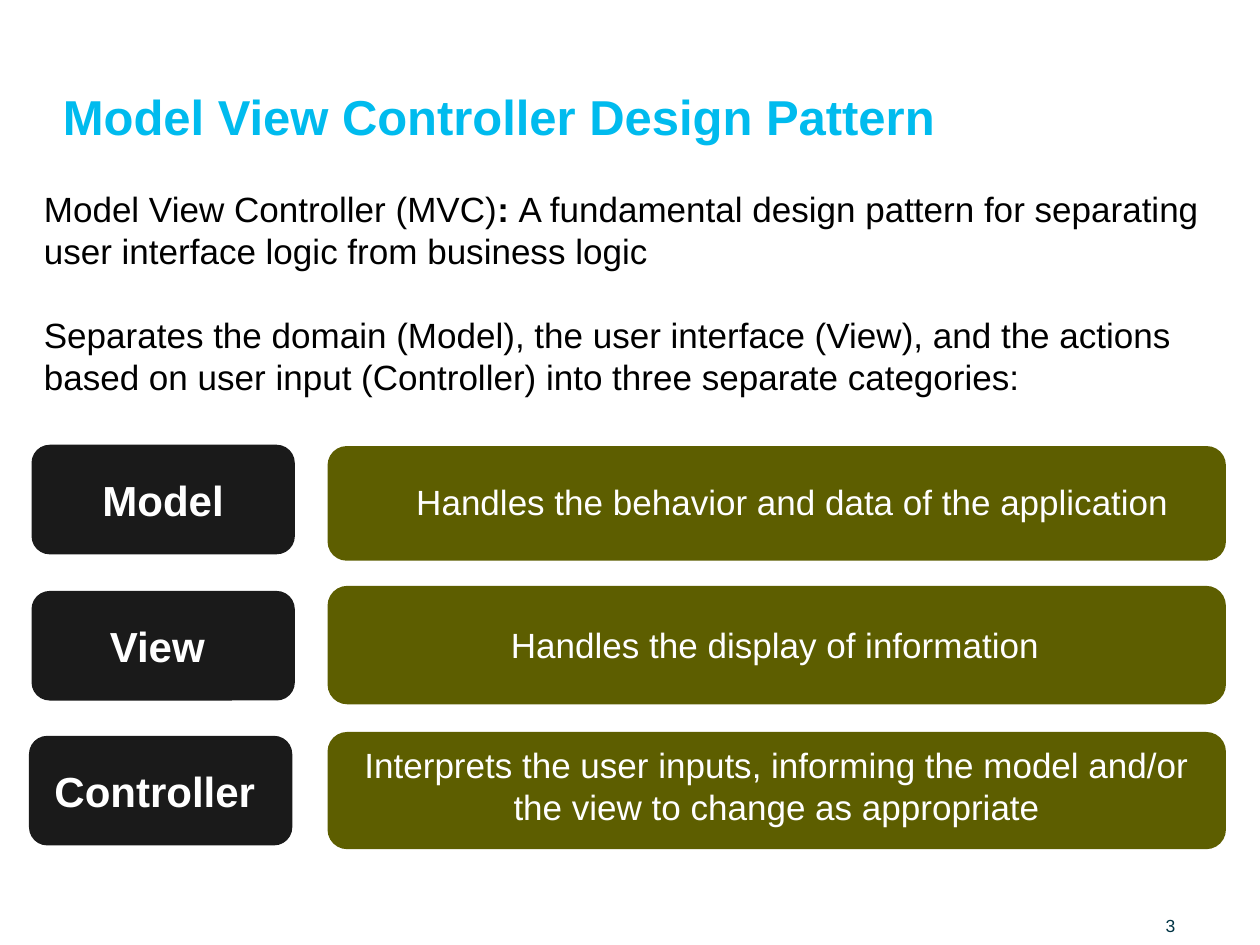
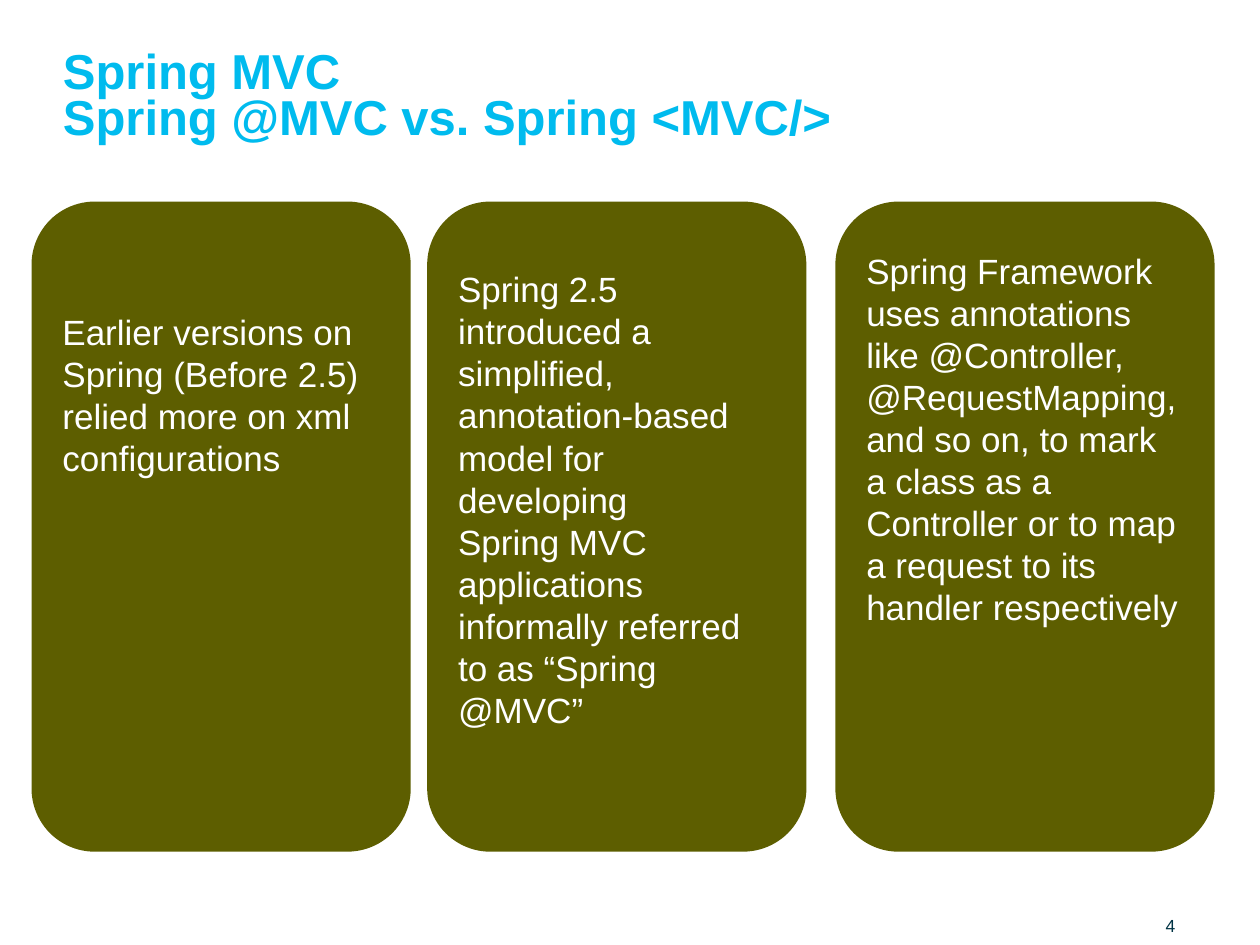
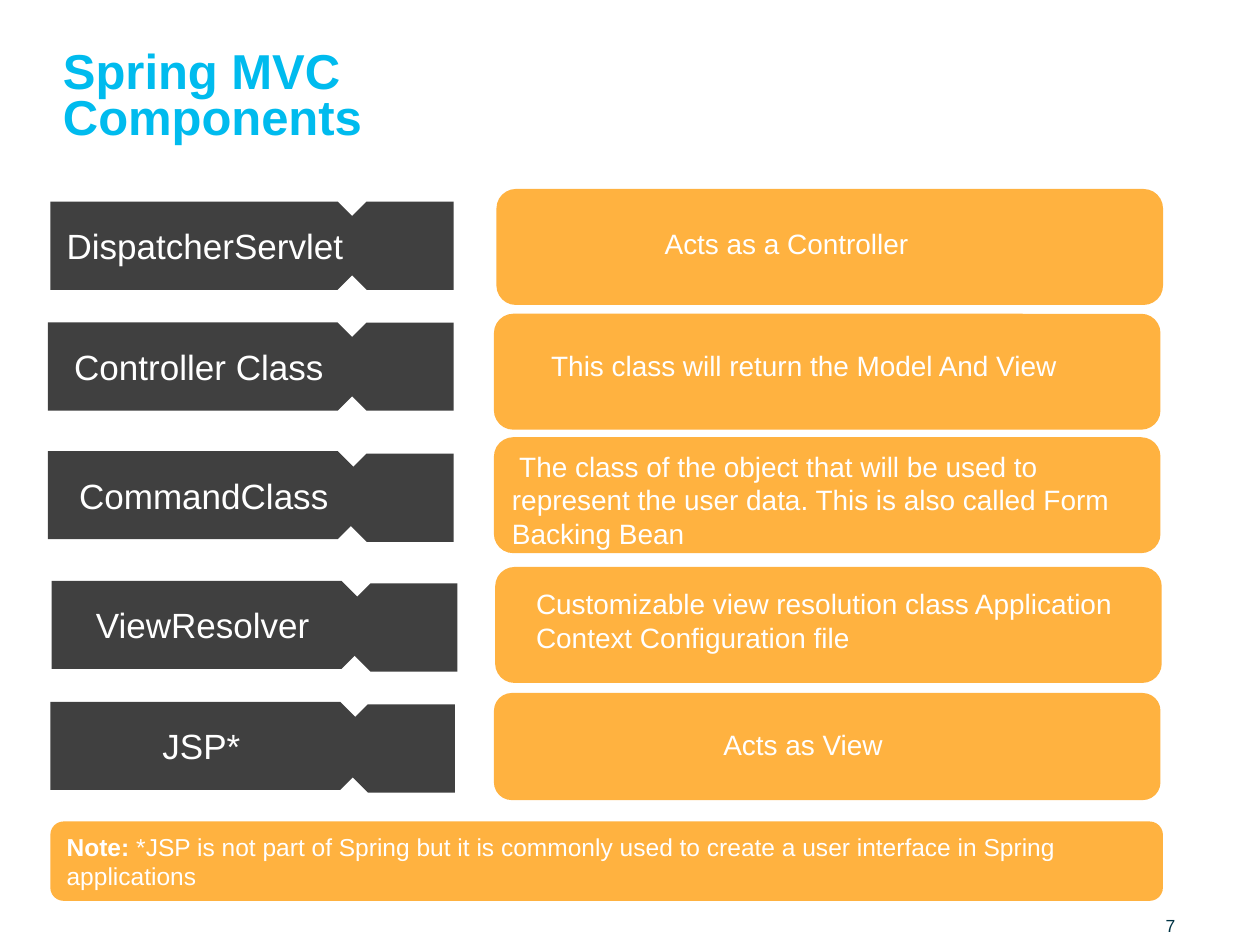
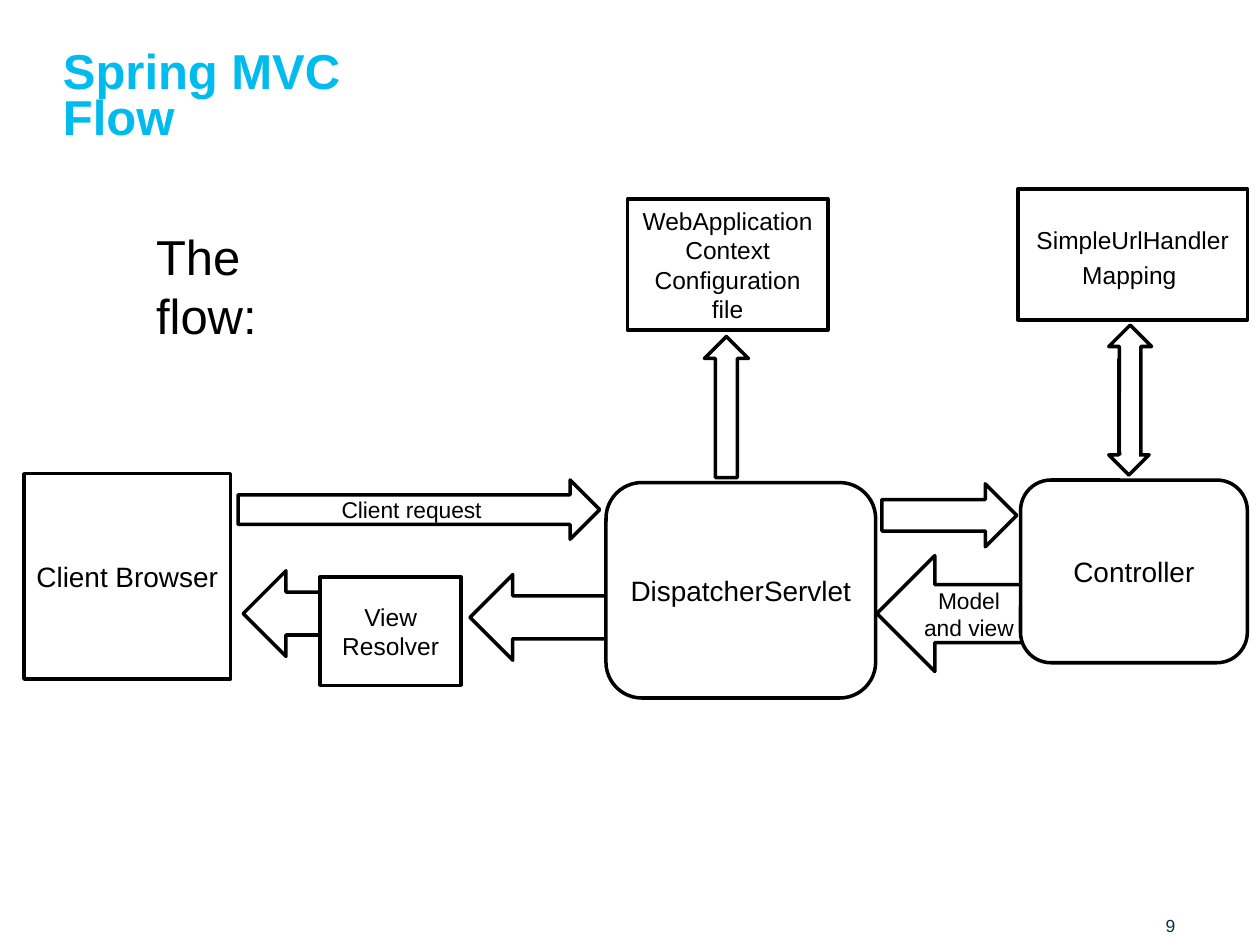
from dataclasses import dataclass
from typing import NamedTuple

from pptx import Presentation
from pptx import util as u
from pptx.dml.color import RGBColor
from pptx.enum import shapes, text
from pptx.slide import Slide

COLOURS = {
    "title": "00BBEE",
    "page": "003344",
    "ink": "000000",
    "paper": "FFFFFF",
    "label": "1A1A1A",
    "olive": "5D5E00",
    "amber": "FFB240",
    "band": "404040",
}
FONT = "Arial"
LEADING = 1.2  # line pitch as a multiple of the text size
INSET_X, INSET_Y = 0.1, 0.05

KIND = shapes.MSO_SHAPE
ALIGN = text.PP_ALIGN
ANCHOR = text.MSO_ANCHOR


class Span(NamedTuple):
    words: str
    bold: bool = False


class Area(NamedTuple):
    left: float
    top: float
    width: float
    height: float


@dataclass
class Copy:
    """Text of a box: paragraphs made of spans, and how they are set."""
    paras: list[list[Span]]
    size: float
    colour: str = "paper"
    align: ALIGN = ALIGN.LEFT
    anchor: ANCHOR = ANCHOR.TOP
    indent: float = 0      # extra room at the left, inches
    drop: float = 0        # extra room at the top, inches
    pitch: float = 0       # line pitch in points, when not the usual one
    para_gap: float = 0    # points before each further paragraph
    inset: bool = True


def plain(*lines: str, bold: bool = False) -> list[list[Span]]:
    return [[Span(line, bold)] for line in lines]


def centred(words: str, size: float, colour: str = "paper", **more) -> Copy:
    bold = more.pop("bold", False)
    return Copy(plain(words, bold=bold), size, colour, ALIGN.CENTER, ANCHOR.MIDDLE, **more)


def set_all(target: object, values: dict) -> None:
    for name, value in values.items():
        setattr(target, name, value)


def colour_of(name: str) -> RGBColor:
    return RGBColor.from_string(COLOURS[name])


def write(box, copy: Copy) -> None:
    side, edge = (INSET_X, INSET_Y) if copy.inset else (0, 0)
    frame = box.text_frame
    set_all(frame, {
        "word_wrap": True,
        "vertical_anchor": copy.anchor,
        "margin_left": u.Inches(side + copy.indent),
        "margin_right": u.Inches(side),
        "margin_top": u.Inches(edge + copy.drop),
        "margin_bottom": u.Inches(edge),
    })
    for index, spans in enumerate(copy.paras):
        para = frame.add_paragraph() if index else frame.paragraphs[0]
        set_all(para, {
            "alignment": copy.align,
            "line_spacing": u.Pt(copy.pitch or copy.size * LEADING),
            "space_before": u.Pt(copy.para_gap if index else 0),
        })
        for span in spans:
            for row, line in enumerate(span.words.split("\n")):
                if row:
                    para.add_line_break()
                run = para.add_run()
                run.text = line
                set_all(run.font, {"name": FONT, "size": u.Pt(copy.size), "bold": span.bold})
                run.font.color.rgb = colour_of(copy.colour)


def add_text(page: Slide, area: Area, copy: Copy) -> None:
    write(page.shapes.add_textbox(*map(u.Inches, area)), copy)


def add_box(page: Slide, kind: KIND, area: Area, fill: str, copy: Copy | None = None,
            outlined: bool = False, turn: float = 0) -> None:
    box = page.shapes.add_shape(kind, *map(u.Inches, area))
    box.shadow.inherit = False
    box.rotation = turn
    box.fill.solid()
    box.fill.fore_color.rgb = colour_of(fill)
    if outlined:
        box.line.color.rgb = colour_of("ink")
        box.line.width = u.Pt(2)
    else:
        box.line.fill.background()
    if copy:
        write(box, copy)


def add_page(deck, title: str, number: int) -> Slide:
    page = deck.slides.add_slide(deck.slide_layouts[6])
    add_text(page, Area(0.5, 0.2, 9, 0.95),
             Copy(plain(title, bold=True), 28, "title", anchor=ANCHOR.BOTTOM, pitch=26, inset=False))
    add_text(page, Area(9.25, 7.15, 0.69, 0.28),
             Copy(plain(str(number)), 10, "page", anchor=ANCHOR.BOTTOM, inset=False))
    return page


# Slide 1: the three parts of the pattern
class Part(NamedTuple):
    name: str
    label_left: float
    label_top: float
    role_top: float
    role_height: float
    role: Copy


PARTS = [
    Part("Model", 0.25, 3.53, 3.54, 0.91,
         Copy(plain("Handles the behavior and data of the application"), 20, indent=0.56, drop=0.18)),
    Part("View ", 0.25, 4.69, 4.65, 0.94,
         Copy(plain("Handles the display of information"), 20, indent=1.31, drop=0.2)),
    Part("Controller ", 0.23, 5.84, 5.81, 0.93,
         Copy(plain("Interprets the user inputs, informing the model and/or the view to change "
                    "as appropriate"), 20, align=ALIGN.CENTER)),
]


def build_pattern(deck) -> None:
    page = add_page(deck, "Model View Controller Design Pattern", 3)
    for part in PARTS:
        add_box(page, KIND.ROUNDED_RECTANGLE, Area(part.label_left, part.label_top, 2.09, 0.87),
                "label", centred(part.name, 24, bold=True))
        add_box(page, KIND.ROUNDED_RECTANGLE, Area(2.6, part.role_top, 7.13, part.role_height),
                "olive", part.role)
    intro = [
        [Span("Model View Controller (MVC)"), Span(": ", True),
         Span("A fundamental design pattern for separating user interface logic from business logic")],
        [Span("Separates the domain (Model), the user interface (View), and the actions based on "
              "user input (Controller) into three separate categories:")],
    ]
    add_text(page, Area(0.25, 1.44, 9.47, 2.12), Copy(intro, 20, "ink", para_gap=24))


# Slide 2: three panels side by side
class Panel(NamedTuple):
    left: float
    drop: float
    lines: list[str]


PANELS = [
    Panel(0.25, 0.67, ["Earlier versions on Spring (Before 2.5) relied more on xml configurations"]),
    Panel(3.39, 0.33, [
        "Spring 2.5 introduced a simplified, annotation-based model for developing",
        "Spring MVC applications",
        "informally referred to as “Spring @MVC”"]),
    Panel(6.63, 0.18, [
        "Spring Framework uses annotations like @Controller, @RequestMapping, and so on, to mark "
        "a class as a Controller or to map a request to its handler respectively"]),
]


def build_comparison(deck) -> None:
    page = add_page(deck, "Spring MVC\nSpring @MVC vs. Spring <MVC/>", 4)
    for panel in PANELS:
        add_box(page, KIND.ROUNDED_RECTANGLE, Area(panel.left, 1.6, 3.01, 5.16), "olive",
                Copy(plain(*panel.lines), 20, drop=panel.drop))


# Slide 3: components, each a notched band and a card
class Component(NamedTuple):
    name: str
    band: Area
    tail_left: float
    tail_top: float
    card: Area
    duty: str
    indent: float
    drop: float


COMPONENTS = [
    Component("DispatcherServlet ", Area(0.4, 1.6, 2.63, 0.7), 2.56, 1.6,
              Area(3.94, 1.5, 5.29, 0.92), "Acts as a Controller", 1.19, 0.2),
    Component("Controller Class ", Area(0.38, 2.56, 2.65, 0.7), 2.56, 2.56,
              Area(3.92, 2.49, 5.29, 0.92), "This class will return the Model And View", 0.31, 0.18),
    Component("CommandClass", Area(0.38, 3.58, 2.65, 0.7), 2.56, 3.6,
              Area(3.92, 3.47, 5.29, 0.92),
              " The class of the object that will be used to represent the user data. "
              "This is also called Form Backing Bean", 0, 0),
    Component("ViewResolver ", Area(0.41, 4.61, 2.65, 0.7), 2.59, 4.63,
              Area(3.93, 4.5, 5.29, 0.92),
              "Customizable view resolution class Application Context Configuration file", 0.18, 0.06),
    Component("JSP* ", Area(0.4, 5.57, 2.65, 0.7), 2.57, 5.59,
              Area(3.92, 5.5, 5.29, 0.85), "Acts as View", 1.68, 0.18),
]


def build_components(deck) -> None:
    page = add_page(deck, "Spring MVC\nComponents", 7)
    for item in COMPONENTS:
        add_box(page, KIND.ROUNDED_RECTANGLE, item.card, "amber",
                Copy(plain(item.duty), 16, indent=item.indent, drop=item.drop))
        add_box(page, KIND.PENTAGON, Area(item.tail_left, item.tail_top, 1.04, 0.7), "band", turn=180)
        add_box(page, KIND.PENTAGON, item.band, "band", centred(item.name, 20))
    note = [[Span("Note: ", True),
             Span("*JSP is not part of Spring but it is commonly used to create a user interface "
                  "in Spring applications")]]
    add_box(page, KIND.ROUNDED_RECTANGLE, Area(0.4, 6.52, 8.83, 0.63), "amber", Copy(note, 14))


# Slide 4: request flow, from back to front
class Node(NamedTuple):
    kind: KIND
    area: Area
    words: str = ""
    size: float = 16
    pitch: float = 0
    outlined: bool = True


NODES = [
    Node(KIND.LEFT_ARROW, Area(1.93, 4.53, 0.78, 0.68)),
    Node(KIND.RECTANGLE, Area(0.19, 3.76, 1.64, 1.63), "Client Browser"),
    Node(KIND.RIGHT_ARROW, Area(1.89, 3.81, 2.87, 0.47), "Client request", 13),
    Node(KIND.RECTANGLE, Area(2.54, 4.58, 1.12, 0.86), "View Resolver", 14),
    Node(KIND.LEFT_ARROW, Area(3.73, 4.56, 1.83, 0.68)),
    Node(KIND.ROUNDED_RECTANGLE, Area(4.81, 3.83, 2.14, 1.71), "DispatcherServlet"),
    Node(KIND.RIGHT_ARROW, Area(7, 3.84, 1.07, 0.5)),
    Node(KIND.LEFT_ARROW, Area(6.96, 4.41, 1.23, 0.92), "Model and view", 13),
    Node(KIND.RECTANGLE, Area(8.08, 1.5, 1.82, 1.04), "SimpleUrlHandlerMapping ", 14, 20),
    Node(KIND.DOWN_ARROW, Area(8.8, 2.85, 0.32, 0.92)),
    Node(KIND.UP_ARROW, Area(8.8, 2.58, 0.34, 1.02)),
    Node(KIND.RECTANGLE, Area(4.98, 1.58, 1.59, 1.04), "WebApplicationContext Configuration file", 14),
    Node(KIND.UP_ARROW, Area(5.59, 2.67, 0.35, 1.12)),
    # Joins the two vertical arrows into one
    Node(KIND.RECTANGLE, Area(8.9, 3.12, 0.14, 0.51), outlined=False),
    Node(KIND.ROUNDED_RECTANGLE, Area(8.1, 3.81, 1.8, 1.45), "Controller"),
]


def build_flow(deck) -> None:
    page = add_page(deck, "Spring MVC\nFlow", 9)
    for node in NODES:
        copy = centred(node.words, node.size, "ink", pitch=node.pitch) if node.words else None
        add_box(page, node.kind, node.area, "paper", copy, node.outlined)
    add_text(page, Area(1.14, 1.75, 1.68, 0.57), Copy(plain("The flow:"), 28, "ink"))


def main() -> None:
    deck = Presentation()
    set_all(deck, {"slide_width": u.Inches(10), "slide_height": u.Inches(7.5)})
    for build in (build_pattern, build_comparison, build_components, build_flow):
        build(deck)
    deck.save("out.pptx")


if __name__ == "__main__":
    main()
